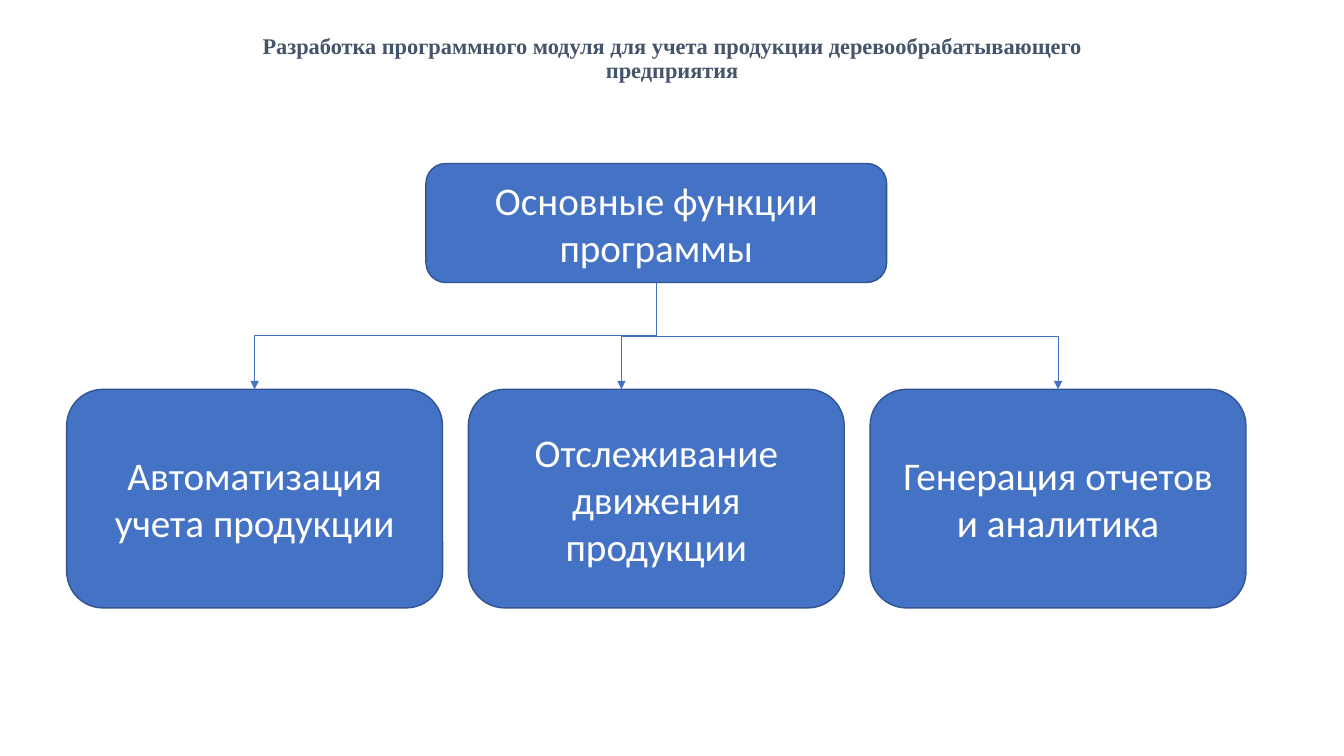
from dataclasses import dataclass

from pptx import Presentation
from pptx.dml.color import RGBColor
from pptx.enum import shapes, text
from pptx.oxml import ns, xmlchemy
from pptx.util import Cm, Pt


@dataclass(frozen=True)
class Theme:
    """Colours, fonts and sizes of the slide."""
    title_color: RGBColor = RGBColor.from_string("44546A")
    fill: RGBColor = RGBColor.from_string("4472C4")
    outline: RGBColor = RGBColor.from_string("325491")
    box_text: RGBColor = RGBColor.from_string("FFFFFF")
    title_font: str = "Times New Roman"
    box_font: str = "Calibri"
    title_size: Pt = Pt(16)
    box_size: Pt = Pt(28)
    outline_width: Pt = Pt(1)
    arrow_width: Pt = Pt(0.5)


THEME = Theme()
TITLE = "Разработка программного модуля для учета продукции деревообрабатывающего предприятия"
ROOT = "Основные функции программы"
FUNCTIONS = [
    ("Автоматизация учета продукции", 0),
    ("Отслеживание движения продукции", -0.88),
    ("Генерация отчетов и аналитика", 0),
]


def write_text(shape, content, font_name, size, color):
    """Put one centred paragraph in the middle of a shape."""
    frame = shape.text_frame
    frame.word_wrap = True
    frame.vertical_anchor = text.MSO_ANCHOR.MIDDLE
    paragraph = frame.paragraphs[0]
    paragraph.text = content
    paragraph.alignment = text.PP_ALIGN.CENTER
    paragraph.font.name = font_name
    paragraph.font.size = size
    paragraph.font.color.rgb = color
    return paragraph


def add_title(slide, left, top, width, height):
    """Place the heading in the given box."""
    shape = slide.shapes.add_textbox(Cm(left), Cm(top), Cm(width), Cm(height))
    paragraph = write_text(shape, TITLE, THEME.title_font, THEME.title_size, THEME.title_color)
    paragraph.font.bold = True
    paragraph.line_spacing = 0.9


def add_box(slide, content, left, top, width, height):
    """Place a rounded box with its label."""
    shape = slide.shapes.add_shape(
        shapes.MSO_SHAPE.ROUNDED_RECTANGLE, Cm(left), Cm(top), Cm(width), Cm(height))
    shape.shadow.inherit = False
    shape.fill.solid()
    shape.fill.fore_color.rgb = THEME.fill
    shape.line.color.rgb = THEME.outline
    shape.line.width = THEME.outline_width
    write_text(shape, content, THEME.box_font, THEME.box_size, THEME.box_text)


def add_down_arrow(slide, start_x, start_y, end_x, end_y):
    """Draw an elbow arrow that leaves downwards, as a quarter-turned connector."""
    rightward = end_x > start_x
    center_x, center_y = (start_x + end_x) / 2, (start_y + end_y) / 2
    half_drop, half_shift = (end_y - start_y) / 2, abs(end_x - start_x) / 2
    reach = half_drop if rightward else -half_drop
    connector = slide.shapes.add_connector(
        shapes.MSO_CONNECTOR.ELBOW,
        Cm(center_x + reach), Cm(center_y - half_shift),
        Cm(center_x - reach), Cm(center_y + half_shift))
    connector.line.color.rgb = THEME.fill
    connector.line.width = THEME.arrow_width
    properties = connector._element.spPr
    properties.find(ns.qn("a:xfrm")).set("rot", "16200000" if rightward else "5400000")
    line = connector.line._get_or_add_ln()
    line.append(xmlchemy.OxmlElement("a:tailEnd"))
    line[-1].set("type", "triangle")
    properties.append(xmlchemy.OxmlElement("a:effectLst"))


def add_function_tree(slide, left, top, width, height):
    """Place the root box and a row of function boxes joined by arrows."""
    root_width, root_height = 11.61, 3
    box_height, gap = 5.51, 0.65
    box_width = (width - gap * (len(FUNCTIONS) - 1)) / len(FUNCTIONS)
    row_top = top + height - box_height
    center = left + width / 2
    add_box(slide, ROOT, center - root_width / 2, top, root_width, root_height)
    for index, (label, offset) in enumerate(FUNCTIONS):
        box_left = left + index * (box_width + gap)
        add_box(slide, label, box_left, row_top, box_width, box_height)
        add_down_arrow(slide, center, top + root_height,
                       box_left + box_width / 2 + offset, row_top)


def main():
    """Build the slide and save it."""
    presentation = Presentation()
    presentation.slide_width, presentation.slide_height = Cm(33.87), Cm(19.05)
    slide = presentation.slides.add_slide(presentation.slide_layouts[6])
    add_title(slide, 5.51, 0.71, 22.86, 1.55)
    add_function_tree(slide, 1.68, 4.12, 29.72, 11.2)
    presentation.save("out.pptx")


if __name__ == "__main__":
    main()
